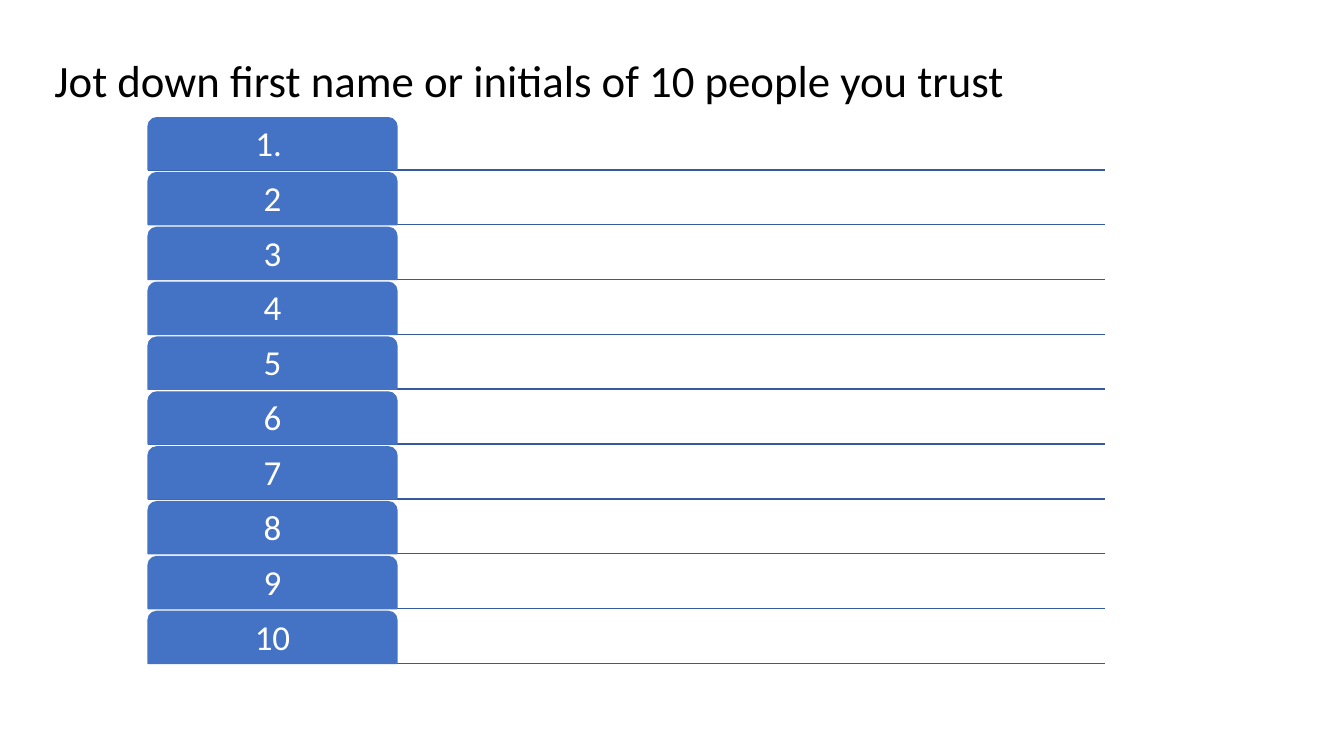
import pptx
import pptx.util
import pptx.dml.color
import pptx.enum.shapes
import pptx.enum.text
import pptx.oxml.ns
import lxml.etree

Pt = pptx.util.Pt
RGB = pptx.dml.color.RGBColor
Shape = pptx.enum.shapes.MSO_SHAPE
Line = pptx.enum.shapes.MSO_CONNECTOR
Align = pptx.enum.text.PP_ALIGN
Anchor = pptx.enum.text.MSO_ANCHOR

TITLE = "Jot down first name or initials of 10 people you trust"
LABELS = ["1. "] + [str(n) for n in range(2, 11)]

BLUE = RGB(0x44, 0x72, 0xC4)
NAVY = RGB(0x36, 0x5B, 0x9D)
WHITE = RGB(255, 255, 255)
BLACK = RGB(0, 0, 0)

LEFT, TOP, RIGHT = 105.8, 84.1, 789.1
TAB_W, TAB_H, PITCH = 177.8, 37.2, 39.18


def write(shape, text, size, color, align, anchor, inset):
    frame = shape.text_frame
    frame.word_wrap = True
    frame.vertical_anchor = anchor
    frame.margin_left = frame.margin_right = Pt(inset)
    frame.margin_top = frame.margin_bottom = Pt(inset)
    para = frame.paragraphs[0]
    para.text = text
    para.alignment = align
    para.line_spacing = 0.9
    para.font.name = "Calibri"
    para.font.size = Pt(size)
    para.font.color.rgb = color


def add_rule(slide, y):
    rule = slide.shapes.add_connector(
        Line.STRAIGHT, Pt(LEFT), Pt(y), Pt(RIGHT), Pt(y))
    rule.line.color.rgb = NAVY
    rule.line.width = Pt(1)
    props = rule.element.spPr
    lxml.etree.SubElement(props, pptx.oxml.ns.qn("a:effectLst"))


def add_tab(slide, label, y):
    tab = slide.shapes.add_shape(
        Shape.ROUND_2_SAME_RECTANGLE, Pt(LEFT), Pt(y), Pt(TAB_W), Pt(TAB_H))
    tab.adjustments[0] = 0.167
    tab.adjustments[1] = 0
    tab.shadow.inherit = False
    tab.fill.solid()
    tab.fill.fore_color.rgb = BLUE
    tab.line.color.rgb = BLUE
    tab.line.width = Pt(1)
    write(tab, label, 25, WHITE, Align.CENTER, Anchor.MIDDLE, 3.6)


deck = pptx.Presentation()
deck.slide_width, deck.slide_height = Pt(960), Pt(540)
slide = deck.slides.add_slide(deck.slide_layouts[6])

rows = [(label, TOP + i * PITCH) for i, label in enumerate(LABELS)]
for label, y in rows:
    add_rule(slide, y + TAB_H)
for label, y in rows:
    add_tab(slide, label, y)

title = slide.shapes.add_textbox(Pt(38.9), Pt(41.8), Pt(882), Pt(82.8))
write(title, TITLE, 32, BLACK, Align.LEFT, Anchor.TOP, 0)

deck.save("out.pptx")
